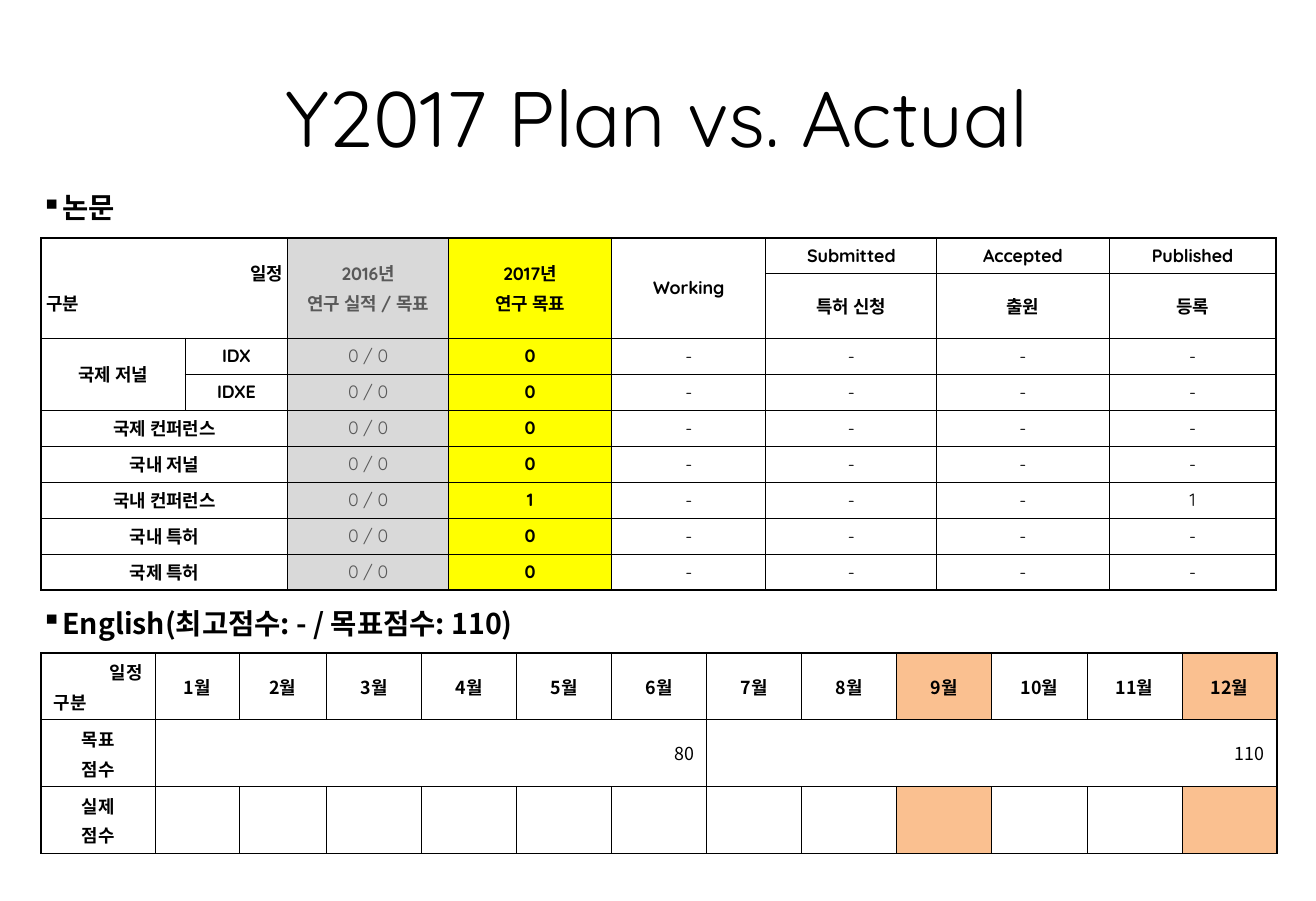
from lxml import etree
from pptx import Presentation
from pptx import util as u
from pptx.dml.color import RGBColor
from pptx.enum import text
from pptx.oxml import ns

BLACK = RGBColor(0x00, 0x00, 0x00)
DARK_GRAY = RGBColor(0x59, 0x59, 0x59)
LIGHT_GRAY = RGBColor(0xD9, 0xD9, 0xD9)
YELLOW = RGBColor(0xFF, 0xFF, 0x00)
ORANGE = RGBColor(0xFA, 0xC0, 0x90)
ROUND_FONT, KOREAN_FONT = "Quicksand", "Noto Sans CJK KR"
LEFT, WIDTH = 0.32, 9.61
LEFT_ALIGN, CENTER, RIGHT_ALIGN = (
    text.PP_ALIGN.LEFT, text.PP_ALIGN.CENTER, text.PP_ALIGN.RIGHT)

TITLE = "Y2017 Plan vs. Actual"
HEADINGS = [("논문", 1.46), ("English(최고점수: - / 목표점수: 110)", 4.69)]
CORNER = "일정\n구분"

RESULTS = [
    ("국제 저널", "IDX", "0"),
    ("", "IDXE", "0"),
    ("국제 컨퍼런스", "", "0"),
    ("국내 저널", "", "0"),
    ("국내 컨퍼런스", "", "1", "1"),
    ("국내 특허", "", "0"),
    ("국제 특허", "", "0"),
]
PAPERS = [
    [CORNER, "", "2016년\n연구 실적 / 목표", "2017년\n연구 목표", "Working",
     "Submitted", "Accepted", "Published"],
    ["", "", "", "", "", "특허 신청", "출원", "등록"],
] + [[group, kind, "0 / 0", goal, "-", "-", "-", *(published or ["-"])]
     for group, kind, goal, *published in RESULTS]
PAPER_COLS = [1.12, 0.8, 1.25, 1.27, 1.2, 1.33, 1.34, 1.3]
PAPER_ROWS = [0.28, 0.5] + [0.28] * len(RESULTS)
PAPER_MERGES = [(0, 0, 1, 1), (2, 0, 3, 0)]
PAPER_MERGES += [(0, c, 1, c) for c in (2, 3, 4)]
PAPER_MERGES += [(r, 0, r, 1) for r in range(4, len(PAPERS))]
PAPER_FILLS = {2: LIGHT_GRAY, 3: YELLOW}

SCORES = [
    [CORNER] + [f"{month}월" for month in range(1, 13)],
    ["목표\n점수", "80"] + [""] * 5 + ["110"] + [""] * 5,
    ["실제\n점수"] + [""] * 12,
]
SCORE_COLS = [0.89, 0.65, 0.68] + [0.74] * 10
SCORE_ROWS = [0.52] * 3
SCORE_MERGES = [(1, 1, 1, 6), (1, 7, 1, 12)]
SCORE_FILLS = {9: ORANGE, 12: ORANGE}


def set_font(p, name, size, bold=False, color=BLACK):
    f = p.font
    f.size, f.bold, f.name = u.Pt(size), bold, name
    f.color.rgb = color
    ea = etree.SubElement(f._element, ns.qn("a:ea"))
    ea.set("typeface", KOREAN_FONT)


def set_borders(cell, widths):
    tc_pr = cell._tc.get_or_add_tcPr()
    for i, (side, width) in enumerate(widths.items()):
        ln = etree.Element(ns.qn(f"a:ln{side}"), w=str(u.Pt(width)))
        fill = etree.SubElement(ln, ns.qn("a:solidFill"))
        etree.SubElement(fill, ns.qn("a:srgbClr"), val=str(BLACK))
        tc_pr.insert(i, ln)


def add_grid(s, top, rows, cols, heights, merges, fills, font, margins, style):
    table = s.shapes.add_table(
        len(rows), len(cols), u.Inches(LEFT), u.Inches(top),
        u.Inches(sum(cols)), u.Inches(sum(heights))).table
    table.first_row = table.horz_banding = False
    for column, width in zip(table.columns, cols):
        column.width = u.Inches(width)
    for row, height in zip(table.rows, heights):
        row.height = u.Inches(height)
    for r1, c1, r2, c2 in merges:
        table.cell(r1, c1).merge(table.cell(r2, c2))
    for r, row in enumerate(rows):
        for c, words in enumerate(row):
            cell = table.cell(r, c)
            if cell.is_spanned:
                continue
            bold, color, align = style(r, c)
            cell.text = words
            cell.vertical_anchor = text.MSO_ANCHOR.MIDDLE
            cell.margin_left = cell.margin_right = u.Inches(margins[0])
            cell.margin_top = cell.margin_bottom = u.Inches(margins[1])
            for i, p in enumerate(cell.text_frame.paragraphs):
                p.alignment = align
                if words == CORNER:
                    p.alignment = (RIGHT_ALIGN, LEFT_ALIGN)[i]
                p.space_before = u.Pt(2)
                set_font(p, font, 10, bold, color)
            if c in fills and not cell.is_merge_origin or (c in fills and r == 0):
                cell.fill.solid()
                cell.fill.fore_color.rgb = fills[c]
            else:
                cell.fill.background()
            last_row = r + (cell.span_height if cell.is_merge_origin else 1)
            last_col = c + (cell.span_width if cell.is_merge_origin else 1)
            set_borders(cell, {
                "L": 1 if c == 0 else 0.5,
                "R": 1 if last_col == len(cols) else 0.5,
                "T": 1 if r == 0 else 0.5,
                "B": 1 if last_row == len(rows) else 0.5})


def paper_style(r, c):
    return r < 2 or c in (0, 1, 3), DARK_GRAY if c == 2 else BLACK, CENTER


def score_style(r, c):
    is_score = r == 1 and c > 0
    return not is_score, BLACK, RIGHT_ALIGN if is_score else CENTER


def add_heading(s, words, top):
    tf = s.shapes.add_textbox(
        u.Inches(LEFT), u.Inches(top), u.Inches(WIDTH), u.Inches(0.31)).text_frame
    tf.word_wrap = True
    tf.vertical_anchor = text.MSO_ANCHOR.MIDDLE
    tf.margin_left = tf.margin_right = tf.margin_top = tf.margin_bottom = 0
    p = tf.paragraphs[0]
    p.text = words
    set_font(p, KOREAN_FONT, 16, True)
    p_pr = p._p.get_or_add_pPr()
    p_pr.set("marL", str(u.Inches(0.16)))
    p_pr.set("indent", str(-u.Inches(0.16)))
    bullet = etree.Element(ns.qn("a:buChar"), char="▪")
    p_pr.insert(0, bullet)


prs = Presentation()
prs.slide_width, prs.slide_height = u.Inches(10.24), u.Inches(7.01)
s = prs.slides.add_slide(prs.slide_layouts[5])

title = s.shapes.title
title.left, title.top = u.Inches(0.39), u.Inches(0.35)
title.width, title.height = u.Inches(9.45), u.Inches(1.1)
title.text_frame.vertical_anchor = text.MSO_ANCHOR.MIDDLE
p = title.text_frame.paragraphs[0]
p.text = TITLE
p.alignment = CENTER
set_font(p, ROUND_FONT, 44)

for words, top in HEADINGS:
    add_heading(s, words, top)
add_grid(s, 1.85, PAPERS, PAPER_COLS, PAPER_ROWS, PAPER_MERGES, PAPER_FILLS,
         ROUND_FONT, (0.04, 0.04), paper_style)
add_grid(s, 5.08, SCORES, SCORE_COLS, SCORE_ROWS, SCORE_MERGES, SCORE_FILLS,
         KOREAN_FONT, (0.1, 0.05), score_style)

prs.save("out.pptx")
